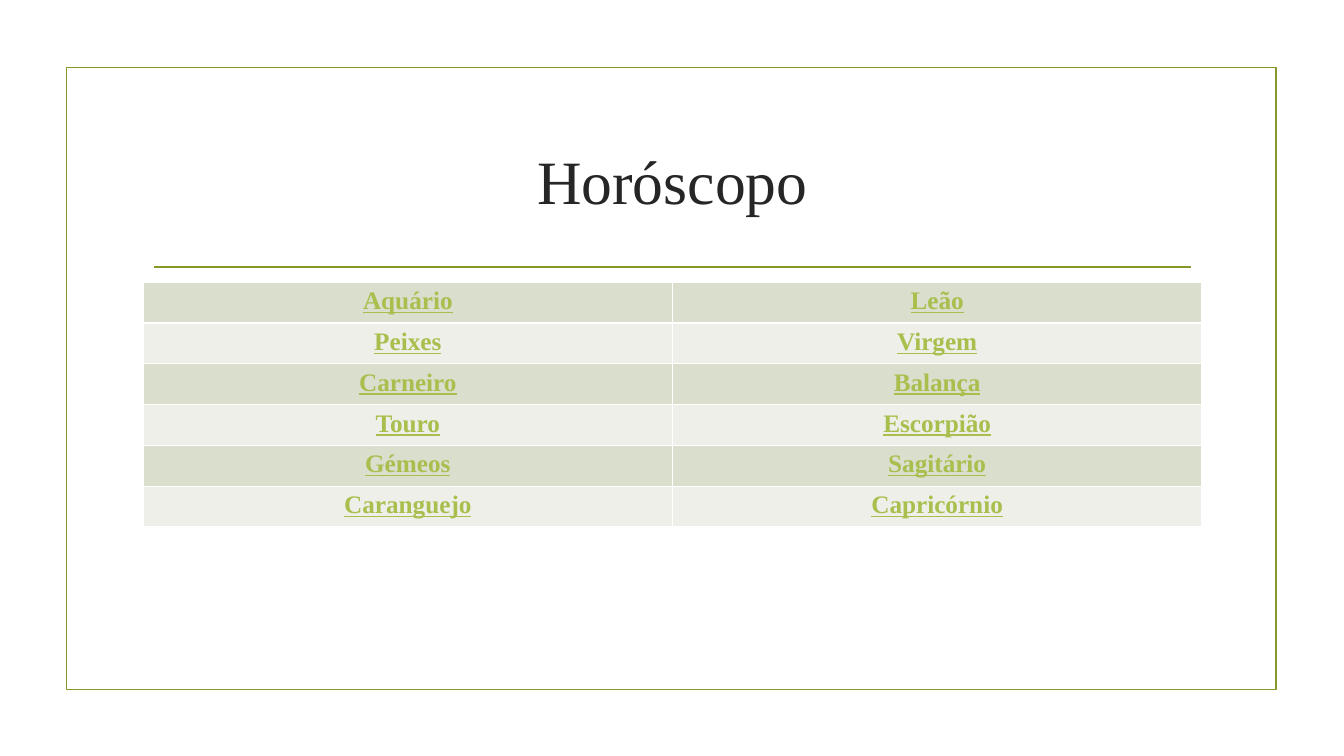
import pptx
import pptx.dml.color
import pptx.enum.shapes
import pptx.enum.text
import pptx.util
from lxml import etree
from pptx.oxml.ns import qn

WIDE, HIGH = 13.33, 7.5
LEFT, SPAN = 1.42, 10.5
GREEN = "83992A"
BANDS = ("D9DECD", "EDEFE8")
SIGNS = [
    ("Aquário", "Leão"),
    ("Peixes", "Virgem"),
    ("Carneiro", "Balança"),
    ("Touro", "Escorpião"),
    ("Gémeos", "Sagitário"),
    ("Caranguejo", "Capricórnio"),
]
inch = pptx.util.Inches


def tint(code):
    return pptx.dml.color.RGBColor.from_string(code)


def pen(item):
    """Give a shape or connector the green outline."""
    item.line.color.rgb = tint(GREEN)
    item.line.width = pptx.util.Pt(1.25)


def write(frame, text, size, color, bold=False, under=False):
    para = frame.paragraphs[0]
    para.text = text
    para.alignment = pptx.enum.text.PP_ALIGN.CENTER
    font = para.font
    font.name = "Times New Roman"
    font.size = pptx.util.Pt(size)
    font.color.rgb = tint(color)
    font.bold = bold
    font.underline = under


def frame(slide):
    kind = pptx.enum.shapes.MSO_SHAPE.RECTANGLE
    box = slide.shapes.add_shape(kind, inch(0.66), inch(0.67), inch(12), inch(6.17))
    box.shadow.inherit = False
    box.fill.background()
    pen(box)


def rule(slide):
    kind = pptx.enum.shapes.MSO_CONNECTOR.STRAIGHT
    line = slide.shapes.add_connector(kind, inch(1.53), inch(2.65), inch(11.81), inch(2.65))
    pen(line)
    etree.SubElement(line.element.spPr, qn("a:effectLst"))


def title(slide, text):
    box = slide.shapes.add_textbox(inch(LEFT), inch(1.07), inch(SPAN), inch(1.43))
    box.text_frame.word_wrap = True
    box.text_frame.vertical_anchor = pptx.enum.text.MSO_ANCHOR.MIDDLE
    write(box.text_frame, text, 44, "262626")


def edge(cell):
    """Draw thin white borders, placed ahead of the cell's fill."""
    props = cell._tc.get_or_add_tcPr()
    for spot, side in enumerate(("a:lnL", "a:lnR", "a:lnT", "a:lnB")):
        line = etree.Element(qn(side), w=str(pptx.util.Pt(1)))
        fill = etree.SubElement(line, qn("a:solidFill"))
        etree.SubElement(fill, qn("a:srgbClr"), val="FFFFFF")
        props.insert(spot, line)


def grid(slide, rows):
    shape = slide.shapes.add_table(
        len(rows), len(rows[0]), inch(LEFT), inch(2.8), inch(SPAN), inch(2.43))
    table = shape.table
    for r, names in enumerate(rows):
        for c, name in enumerate(names):
            cell = table.cell(r, c)
            cell.fill.solid()
            cell.fill.fore_color.rgb = tint(BANDS[r % 2])
            edge(cell)
            write(cell.text_frame, name, 18, "A8BF4D", bold=True, under=True)


def main():
    deck = pptx.Presentation()
    deck.slide_width, deck.slide_height = inch(WIDE), inch(HIGH)
    slide = deck.slides.add_slide(deck.slide_layouts[6])
    frame(slide)
    rule(slide)
    title(slide, "Horóscopo")
    grid(slide, SIGNS)
    deck.save("out.pptx")


if __name__ == "__main__":
    main()
